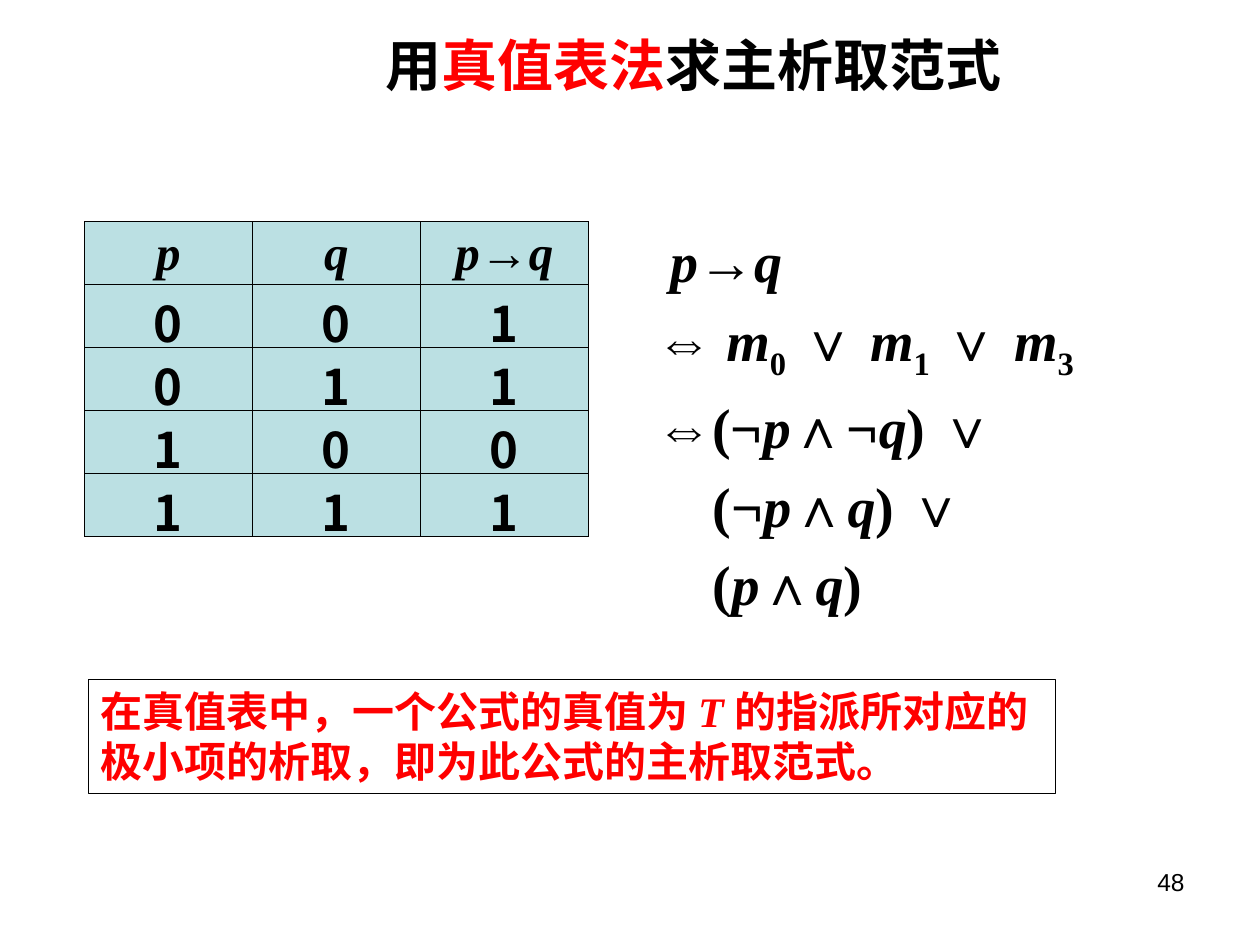
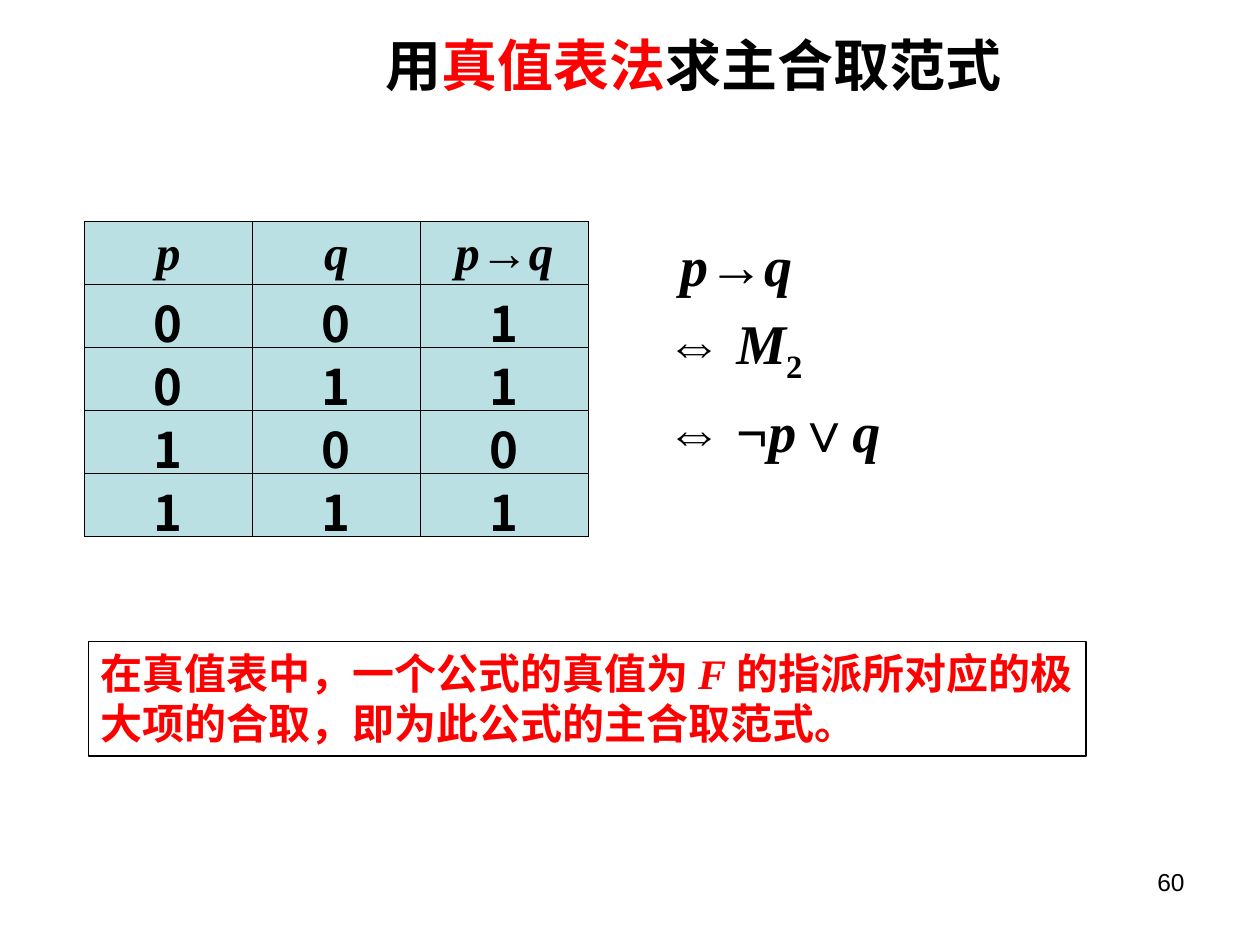
from itertools import groupby

from lxml import etree
from pptx import Presentation
from pptx import util as u
from pptx.dml.color import RGBColor
from pptx.enum import shapes, text
from pptx.oxml.ns import qn

COLORS = {"ink": "000000", "accent": "FF0000", "cell": "BBE0E3"}
SANS, SERIF, PLAIN = "Noto Sans CJK SC", "Times New Roman", "Arial"

TITLE_STYLE = {"name": SANS, "size": u.Pt(32), "bold": True}
FORMULA_STYLE = {"name": SERIF, "size": u.Pt(32), "bold": True}
HEADER_STYLE = {"name": SERIF, "size": u.Pt(28), "bold": True}
VALUE_STYLE = {**HEADER_STYLE, "name": SANS}
CAPTION_STYLE = {"name": SERIF, "size": u.Pt(24), "bold": True}
NUMBER_STYLE = {"name": PLAIN, "size": u.Pt(14)}

TITLE_BOX = (2.16, 0.28, 6.69, 0.46)
TABLE_BOX = (0.67, 1.76, 4, 2.5)
NUMBER_BOX = (7.17, 6.83, 2.33, 0.52)

TRUTH_TABLE = [("p", "q", "p→q"), "001", "011", "100", "111"]

# Each formula line: left indent in inches, text
SLIDES = [
    {
        "form": "析取",
        "formula_box": (5, 1.75, 4.5, 4.95),
        "formula": [(0.22, "p→q"), (0.11, "⇔ m0 ∨ m1 ∨ m3"), (0.11, "⇔(¬p∧¬q) ∨"),
                    (0.56, "(¬p∧q) ∨"), (0.56, "(p∧q)")],
        "caption_box": (0.7, 5.39, 7.68, 0.91),
        "caption": "在真值表中，一个公式的真值为 T 的指派所对应的极小项的析取，即为此公式的主析取范式。",
        "number": "48",
    },
    {
        "form": "合取",
        "formula_box": (5.08, 1.78, 4.5, 4.95),
        "formula": [(0.22, "p→q"), (0.11, "⇔ M2"), (0.11, "⇔ ¬p∨q")],
        "caption_box": (0.7, 5.09, 7.92, 0.91),
        "caption": "在真值表中，一个公式的真值为 F 的指派所对应的极大项的合取，即为此公式的主合取范式。",
        "number": "60",
    },
]


def inches(box):
    return [u.Inches(length) for length in box]


def add_run(paragraph, words, style, color="ink", italic=False, subscript=False):
    run = paragraph.add_run()
    run.text = words
    for name, value in {**style, "italic": italic}.items():
        setattr(run.font, name, value)
    run.font.color.rgb = RGBColor.from_string(COLORS[color])
    properties = run._r.get_or_add_rPr()
    if subscript:
        properties.set("baseline", "-25000")
    if any("一" <= character <= "龥" for character in words):
        etree.SubElement(properties, qn("a:ea"), typeface=SANS)


def character_kind(character):
    if character.isascii() and character.isalpha():
        return "variable"
    return "index" if character.isdigit() else "plain"


def add_math(paragraph, words, style, color="ink"):
    """Variables become italic and digits become subscripts."""
    for kind, characters in groupby(words, character_kind):
        add_run(paragraph, "".join(characters), style, color,
                italic=kind == "variable", subscript=kind == "index")


def add_title(slide, box, form):
    title = slide.shapes.title
    title.left, title.top, title.width, title.height = inches(box)
    frame = title.text_frame
    frame.auto_size = text.MSO_AUTO_SIZE.NONE
    frame.vertical_anchor = text.MSO_ANCHOR.MIDDLE
    paragraph = frame.paragraphs[0]
    paragraph.alignment = text.PP_ALIGN.CENTER
    for words, color in (("用", "ink"), ("真值表法", "accent"), (f"求主{form}范式", "ink")):
        add_run(paragraph, words, TITLE_STYLE, color)


def add_formula(slide, box, lines):
    frame = slide.shapes.add_textbox(*inches(box)).text_frame
    frame.word_wrap = True
    for index, (indent, words) in enumerate(lines):
        paragraph = frame.add_paragraph() if index else frame.paragraphs[0]
        paragraph._p.get_or_add_pPr().set("marL", str(u.Inches(indent)))
        if index:
            paragraph.space_before = u.Pt(6.4)
        add_math(paragraph, words, FORMULA_STYLE)


def format_cell(cell):
    cell.vertical_anchor = text.MSO_ANCHOR.MIDDLE
    cell.margin_left = cell.margin_right = cell.margin_top = u.Inches(0.01)
    cell.margin_bottom = 0
    properties = cell._tc.get_or_add_tcPr()
    for side in ("lnL", "lnR", "lnT", "lnB"):
        border = etree.SubElement(properties, qn(f"a:{side}"), w=str(u.Pt(0.5)))
        fill = etree.SubElement(border, qn("a:solidFill"))
        etree.SubElement(fill, qn("a:srgbClr"), val=COLORS["ink"])
    cell.fill.solid()
    cell.fill.fore_color.rgb = RGBColor.from_string(COLORS["cell"])


def add_truth_table(slide, box, rows):
    table = slide.shapes.add_table(len(rows), len(rows[0]), *inches(box)).table
    for row_index, row in enumerate(rows):
        for column_index, words in enumerate(row):
            cell = table.cell(row_index, column_index)
            format_cell(cell)
            paragraph = cell.text_frame.paragraphs[0]
            paragraph.alignment = text.PP_ALIGN.CENTER
            if row_index:
                add_run(paragraph, words, VALUE_STYLE)
            else:
                add_math(paragraph, words, HEADER_STYLE)


def add_caption(slide, box, words):
    shape = slide.shapes.add_shape(shapes.MSO_SHAPE.RECTANGLE, *inches(box))
    shape.shadow.inherit = False
    shape.fill.background()
    shape.line.color.rgb = RGBColor.from_string(COLORS["ink"])
    shape.line.width = u.Pt(0.75)
    frame = shape.text_frame
    frame.word_wrap = True
    frame.vertical_anchor = text.MSO_ANCHOR.TOP
    paragraph = frame.paragraphs[0]
    paragraph.alignment = text.PP_ALIGN.LEFT
    add_math(paragraph, words, CAPTION_STYLE, "accent")


def add_number(slide, box, number):
    frame = slide.shapes.add_textbox(*inches(box)).text_frame
    frame.word_wrap = True
    frame.paragraphs[0].alignment = text.PP_ALIGN.RIGHT
    add_run(frame.paragraphs[0], number, NUMBER_STYLE)


def add_normal_form_slide(presentation, content):
    slide = presentation.slides.add_slide(presentation.slide_layouts[5])
    add_title(slide, TITLE_BOX, content["form"])
    add_formula(slide, content["formula_box"], content["formula"])
    add_number(slide, NUMBER_BOX, content["number"])
    add_truth_table(slide, TABLE_BOX, TRUTH_TABLE)
    add_caption(slide, content["caption_box"], content["caption"])


def main():
    presentation = Presentation()
    presentation.slide_width, presentation.slide_height = inches((10, 7.5))
    for content in SLIDES:
        add_normal_form_slide(presentation, content)
    presentation.save("out.pptx")


if __name__ == "__main__":
    main()
